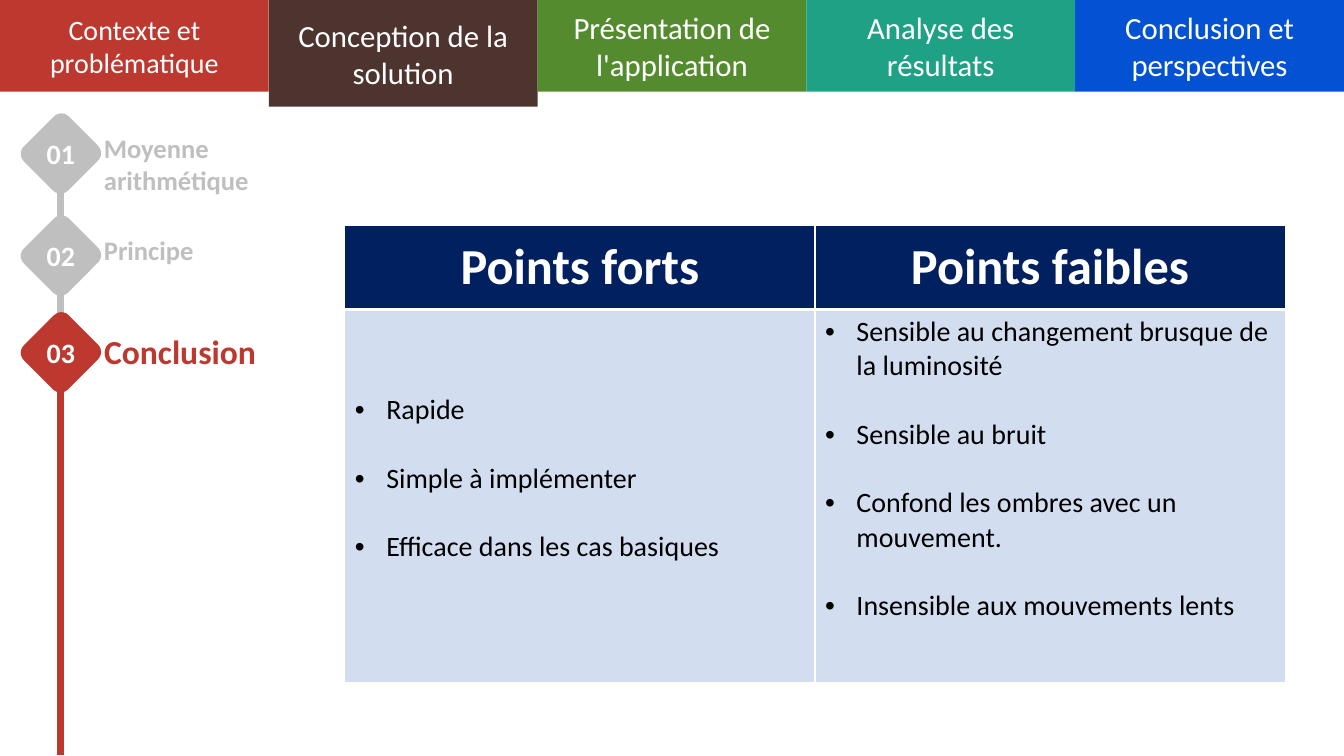
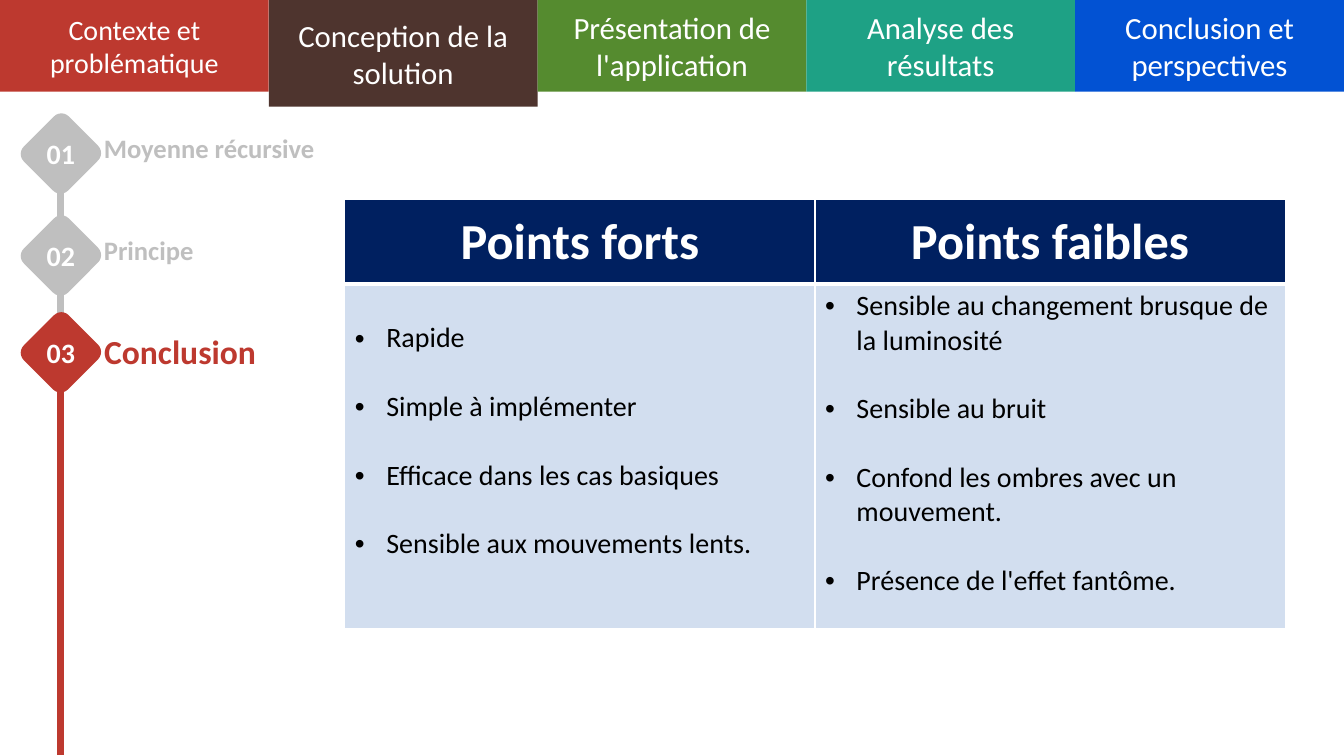
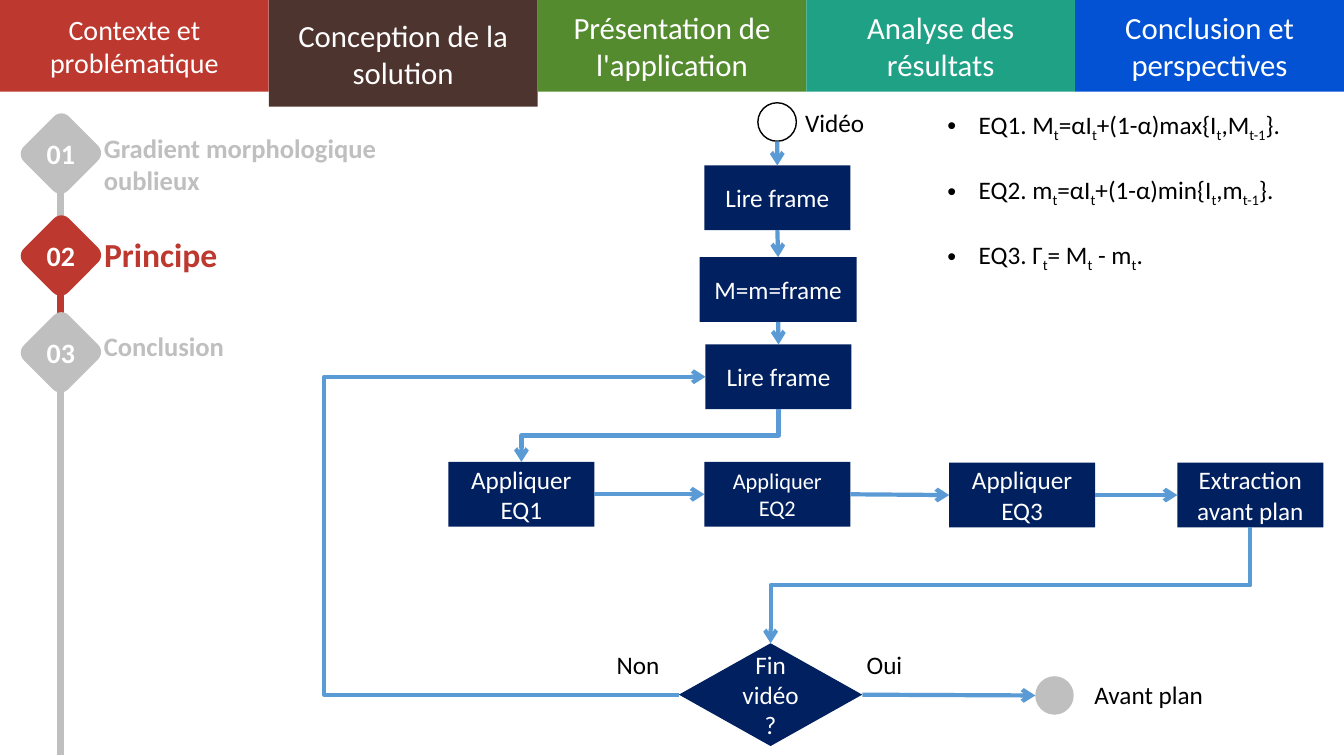
from lxml.etree import SubElement
from pptx import Presentation
from pptx.dml.color import RGBColor
from pptx.enum.shapes import MSO_CONNECTOR, MSO_SHAPE
from pptx.enum.text import MSO_ANCHOR, MSO_AUTO_SIZE, PP_ALIGN
from pptx.oxml.ns import qn
from pptx.util import Cm, Pt

FONT = "Calibri"
WHITE, BLACK, GREY, RED = "FFFFFF", "000000", "BFBFBF", "BD392F"
NAVY, PALE_BLUE, ARROW_BLUE = "002060", "D2DEEF", "5B9BD5"
SLIDE_WIDTH, SLIDE_HEIGHT = 33.87, 19.05
TITLE_ONLY, TITLE_AND_BODY = 5, 1

SECTIONS = [
    ("Contexte et problématique", RED, 20),
    ("Conception de la solution", "4E342E", 22),
    ("Présentation de l'application", "558B2F", 22),
    ("Analyse des résultats", "1EA185", 22),
    ("Conclusion et perspectives", "0252D3", 22),
]
CURRENT_SECTION = 1
STEP_TOPS = [3.07, 5.64, 8.08]
RAIL_ENDS = [18.26, 18.44, 19.02]

WEAK_POINTS = [
    "Sensible au changement brusque de la luminosité",
    "Sensible au bruit",
    "Confond les ombres avec un mouvement.",
]
# Every second piece between bars is a subscript.
EQUATIONS = [
    "EQ1. M|t|=αI|t|+(1-α)max{I|t|,M|t-1|}.",
    "EQ2. m|t|=αI|t|+(1-α)min{I|t|,m|t-1|}.",
    "EQ3. Γ|t|= M|t| - m|t|.",
]


def color(value):
    """Turn a hex string into a colour."""
    return RGBColor.from_string(value)


def add_bullet(paragraph):
    """Give a paragraph a round bullet with a hanging indent."""
    properties = paragraph._p.get_or_add_pPr()
    properties.set("marL", str(Cm(0.79)))
    properties.set("indent", str(-Cm(0.79)))
    SubElement(properties, qn("a:buFont"), typeface="Arial")
    SubElement(properties, qn("a:buChar"), char="•")


def write_text(frame, lines, size=18, fill=BLACK, bold=False,
               align=PP_ALIGN.LEFT, bullets=False, gap=0):
    """Write one paragraph per line, with bars around subscripts."""
    for index, line in enumerate(lines):
        paragraph = frame.paragraphs[0] if index == 0 else frame.add_paragraph()
        paragraph.alignment = align
        paragraph.space_before = Pt(gap if index else 0)
        if bullets:
            add_bullet(paragraph)
        for position, piece in enumerate(line.split("|")):
            run = paragraph.add_run()
            run.text = piece
            run.font.name, run.font.size, run.font.bold = FONT, Pt(size), bold
            run.font.color.rgb = color(fill)
            if position % 2:
                run._r.get_or_add_rPr().set("baseline", "-25000")


def add_box(slide, kind, left, top, width, height, fill, text="", size=18,
            bold=False, outline=None):
    """Add a filled shape with centred white text."""
    shape = slide.shapes.add_shape(kind, Cm(left), Cm(top), Cm(width), Cm(height))
    shape.shadow.inherit = False
    shape.fill.solid()
    shape.fill.fore_color.rgb = color(fill)
    if outline:
        shape.line.color.rgb = color(outline)
        shape.line.width = Pt(1)
    else:
        shape.line.fill.background()
    if text:
        shape.text_frame.vertical_anchor = MSO_ANCHOR.MIDDLE
        write_text(shape.text_frame, [text], size=size, fill=WHITE, bold=bold,
                   align=PP_ALIGN.CENTER)
    return shape


def add_label(slide, text, left, top, width, height=1.02, **text_format):
    """Add a wrapping text box."""
    box = slide.shapes.add_textbox(Cm(left), Cm(top), Cm(width), Cm(height))
    box.text_frame.word_wrap = True
    write_text(box.text_frame, [text], **text_format)


def fill_placeholder(placeholder, lines, left, top, width, height, **text_format):
    """Move a template placeholder and write its text."""
    placeholder.left, placeholder.top = Cm(left), Cm(top)
    placeholder.width, placeholder.height = Cm(width), Cm(height)
    frame = placeholder.text_frame
    frame.auto_size = MSO_AUTO_SIZE.NONE
    frame.word_wrap = True
    frame.vertical_anchor = MSO_ANCHOR.TOP
    write_text(frame, lines, **text_format)


def add_line(slide, start, end, fill, width, arrow=False,
             kind=MSO_CONNECTOR.STRAIGHT):
    """Add a connector between two points, with an optional arrowhead."""
    connector = slide.shapes.add_connector(kind, *start, *end)
    connector.line.color.rgb = color(fill)
    connector.line.width = Pt(width)
    if arrow:
        SubElement(connector.line._get_or_add_ln(), qn("a:tailEnd"), type="arrow")
    SubElement(connector._element.spPr, qn("a:effectLst"))
    return connector


def side(shape, name):
    """Return the middle point of one side of a shape."""
    middle_x = shape.left + shape.width // 2
    middle_y = shape.top + shape.height // 2
    return {
        "top": (middle_x, shape.top),
        "bottom": (middle_x, shape.top + shape.height),
        "left": (shape.left, middle_y),
        "right": (shape.left + shape.width, middle_y),
    }[name]


def add_arrow(slide, source, target, leave="right", enter="left"):
    """Add a straight arrow between two shapes."""
    add_line(slide, side(source, leave), side(target, enter), ARROW_BLUE, 3, arrow=True)


def add_down_elbow(slide, source, target):
    """Add an arrow going down, left and down again."""
    start, end = side(source, "bottom"), side(target, "top")
    across, down = start[0] - end[0], end[1] - start[1]
    left = (start[0] + end[0] - down) // 2
    top = (start[1] + end[1] - across) // 2
    connector = add_line(slide, (left, top), (left + down, top + across),
                         ARROW_BLUE, 3, arrow=True, kind=MSO_CONNECTOR.ELBOW)
    connector._element.spPr.find(qn("a:xfrm")).set("rot", str(90 * 60000))


def add_return_elbow(slide, source, target, turn_x):
    """Add an arrow between two left sides that turns at turn_x."""
    start, end = side(source, "left"), side(target, "left")
    connector = add_line(slide, start, end, ARROW_BLUE, 3, arrow=True,
                         kind=MSO_CONNECTOR.ELBOW)
    ratio = (Cm(turn_x) - start[0]) / (end[0] - start[0])
    geometry = connector._element.spPr.find(qn("a:prstGeom"))
    guides = geometry.find(qn("a:avLst"))
    if guides is None:
        guides = SubElement(geometry, qn("a:avLst"))
    SubElement(guides, qn("a:gd"), name="adj1", fmla=f"val {round(ratio * 100000)}")


def add_banner(slide):
    """Add the section tabs across the top."""
    width = SLIDE_WIDTH / len(SECTIONS)
    for index, (name, fill, size) in enumerate(SECTIONS):
        height = 2.69 if index == CURRENT_SECTION else 2.31
        add_box(slide, MSO_SHAPE.RECTANGLE, index * width, 0, width, height,
                fill, name, size=size)


def add_steps(slide, names, current, first_width=6.17):
    """Add the numbered steps; the current one is the slide title."""
    for index, (name, top, rail_end) in enumerate(zip(names, STEP_TOPS, RAIL_ENDS)):
        fill = RED if index == current else GREY
        marker = add_box(slide, MSO_SHAPE.ROUNDED_RECTANGLE, 0.75, top, 1.57, 1.6,
                         fill, f"{index + 1:02}", size=20, bold=True)
        marker.rotation = 45
        frame = marker.text_frame
        frame.word_wrap = False
        frame.margin_left = frame.margin_right = 0
        frame._txBody.bodyPr.set("rot", str(-45 * 60000))
        add_line(slide, (Cm(1.53), Cm(top + 1.3)), (Cm(1.53), Cm(rail_end)), fill, 5)
        width = first_width if index == 0 else 6
        if index == current:
            fill_placeholder(slide.shapes.title, [name], 2.37, top + 0.12, width,
                             1.27, size=24, fill=fill, bold=True)
        else:
            add_label(slide, name, 2.37, top + 0.12, width,
                      size=19, fill=fill, bold=True)


def add_section_slide(presentation, layout, steps, current, **step_options):
    """Add a slide with the shared banner and steps."""
    slide = presentation.slides.add_slide(presentation.slide_layouts[layout])
    add_steps(slide, steps, current, **step_options)
    add_banner(slide)
    return slide


def format_cell(cell, fill, bottom_border):
    """Set the fill, white borders and vertical centring of a cell."""
    properties = cell._tc.get_or_add_tcPr()
    for edge in "LRTB":
        width = bottom_border if edge == "B" else 1
        border = SubElement(properties, qn(f"a:ln{edge}"), w=str(Pt(width)))
        SubElement(SubElement(border, qn("a:solidFill")), qn("a:srgbClr"), val=WHITE)
    cell.fill.solid()
    cell.fill.fore_color.rgb = color(fill)
    cell.vertical_anchor = MSO_ANCHOR.MIDDLE


def add_comparison(slide, top, body_height, strong, weak, bottom_margins):
    """Add the table of strong and weak points."""
    table = slide.shapes.add_table(2, 2, Cm(8.69), Cm(top), Cm(23.7),
                                   Cm(2.13 + body_height)).table
    table.rows[0].height, table.rows[1].height = Cm(2.13), Cm(body_height)
    columns = [("Points forts", strong), ("Points faibles", weak)]
    for index, (heading, points) in enumerate(columns):
        header, body = table.cell(0, index), table.cell(1, index)
        format_cell(header, NAVY, 3)
        write_text(header.text_frame, [heading], size=36, fill=WHITE, bold=True,
                   align=PP_ALIGN.CENTER)
        format_cell(body, PALE_BLUE, 1)
        body.margin_bottom = Cm(bottom_margins[index])
        write_text(body.text_frame, points, size=20, bullets=True, gap=24.5)


def add_flowchart(slide):
    """Add the processing steps and the arrows between them."""
    def process(text, left, top, width=3.68, size=18):
        """Add one processing step."""
        return add_box(slide, MSO_SHAPE.RECTANGLE, left, top, width, 1.63,
                       NAVY, text, size=size)

    video = add_box(slide, MSO_SHAPE.OVAL, 19.1, 2.59, 0.97, 0.97, WHITE, outline=BLACK)
    first_read = process("Lire frame", 17.75, 4.17)
    initialise = process("M=m=frame", 17.63, 6.48, width=3.96)
    next_read = process("Lire frame", 17.78, 8.68)
    equation_1 = process("Appliquer EQ1", 11.3, 11.64)
    equation_2 = process("Appliquer EQ2", 17.75, 11.64, size=16)
    equation_3 = process("Appliquer EQ3", 23.92, 11.66)
    extraction = process("Extraction avant plan", 29.67, 11.66)
    finished = add_box(slide, MSO_SHAPE.DIAMOND, 17.11, 16.21, 4.62, 2.59,
                       NAVY, "Fin vidéo ?")
    foreground = add_box(slide, MSO_SHAPE.OVAL, 26.09, 17.04, 0.97, 0.97, GREY)

    column = [video, first_read, initialise, next_read]
    for source, target in zip(column, column[1:]):
        add_arrow(slide, source, target, leave="bottom", enter="top")
    row = [equation_1, equation_2, equation_3, extraction]
    for source, target in zip(row, row[1:]):
        add_arrow(slide, source, target)
    add_arrow(slide, finished, foreground)
    add_down_elbow(slide, next_read, equation_1)
    add_down_elbow(slide, extraction, finished)
    add_return_elbow(slide, finished, next_read, 8.17)

    add_label(slide, "Vidéo", 20.04, 2.57, 3.63)
    add_label(slide, "Avant plan", 27.33, 16.99, 3.61)
    add_label(slide, "Non", 15.29, 16.23, 1.88)
    add_label(slide, "Oui", 21.59, 16.23, 1.88)


def main():
    """Build and save the presentation."""
    presentation = Presentation()
    presentation.slide_width = Cm(SLIDE_WIDTH)
    presentation.slide_height = Cm(SLIDE_HEIGHT)
    strong_points = ["Rapide", "Simple à implémenter", "Efficace dans les cas basiques"]

    arithmetic = add_section_slide(
        presentation, TITLE_ONLY, ["Moyenne arithmétique", "Principe", "Conclusion"], 2)
    add_comparison(arithmetic, 5.67, 9.4, strong_points,
                   WEAK_POINTS + ["Insensible aux mouvements lents"], (1, 1.5))

    recursive = add_section_slide(
        presentation, TITLE_ONLY, ["Moyenne récursive", "Principe", "Conclusion"], 2)
    add_comparison(recursive, 5.03, 8.69,
                   strong_points + ["Sensible aux mouvements lents."],
                   WEAK_POINTS + ["Présence de l'effet fantôme."], (0.9, 0.8))

    gradient = add_section_slide(
        presentation, TITLE_AND_BODY,
        ["Gradient morphologique oublieux", "Principe", "Conclusion"], 1,
        first_width=8.69)
    add_flowchart(gradient)
    fill_placeholder(gradient.placeholders[1], EQUATIONS, 23.62, 2.62, 9.65, 4.06,
                     bullets=True, gap=22)

    presentation.save("out.pptx")


main()
